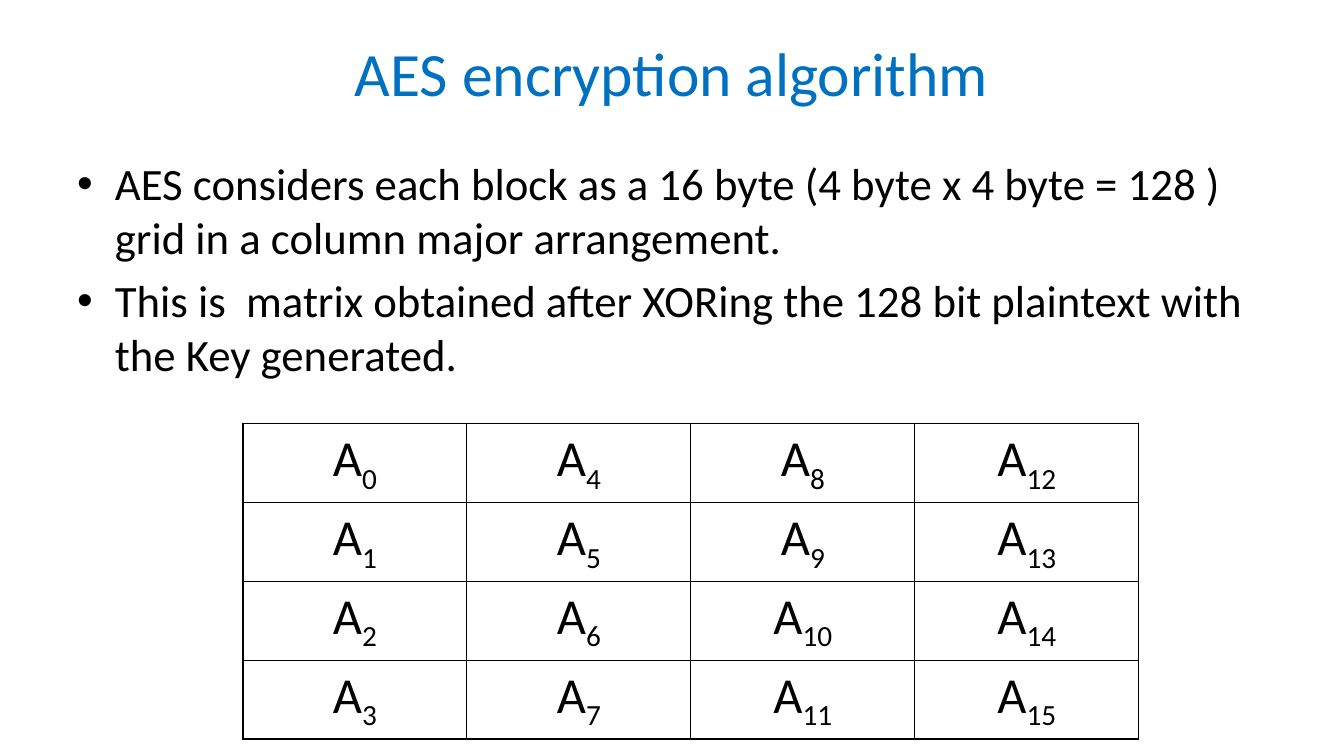
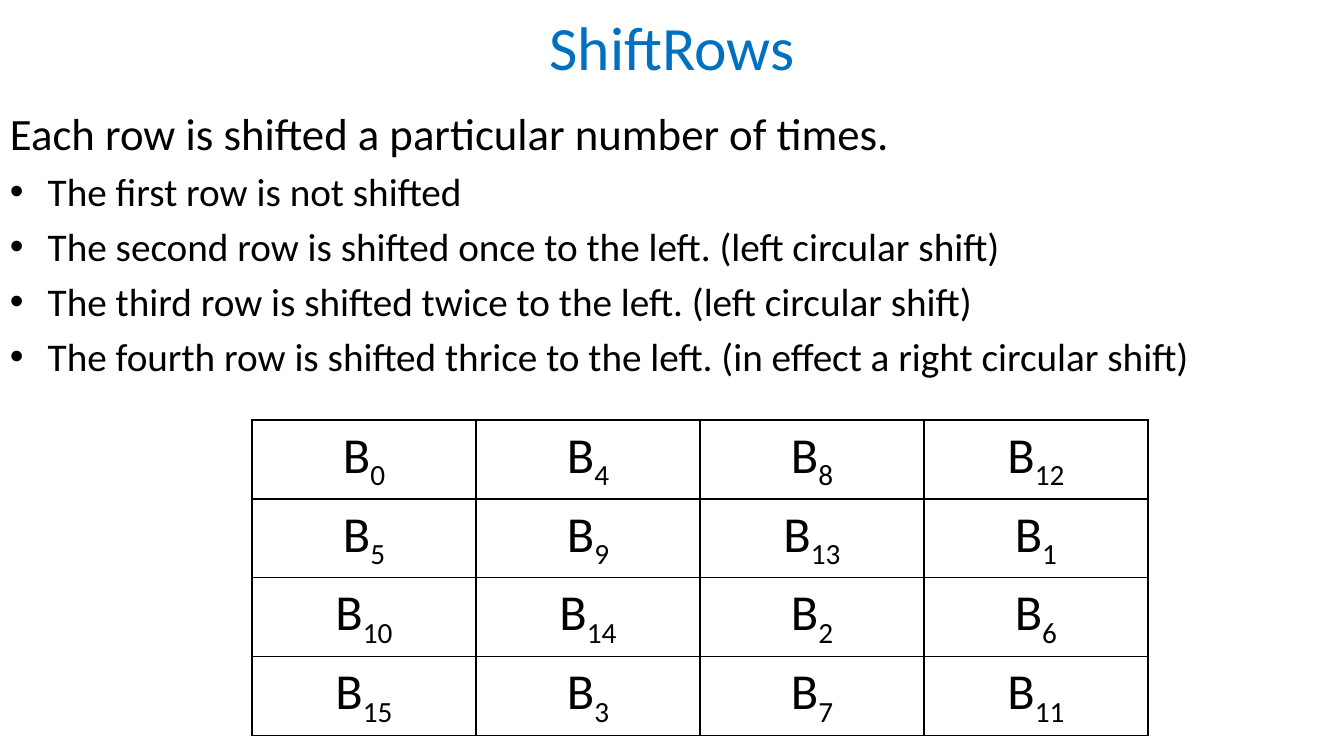
"""Build two slides on the AES state grid and the ShiftRows step."""
from lxml import etree
from pptx import Presentation
from pptx.dml.color import RGBColor
from pptx.enum.text import MSO_ANCHOR, PP_ALIGN
from pptx.oxml.ns import qn
from pptx.util import Pt

CENTER, LEFT = PP_ALIGN.CENTER, PP_ALIGN.LEFT
MIDDLE, TOP = MSO_ANCHOR.MIDDLE, MSO_ANCHOR.TOP
COLORS = {"title": "0070C0", "text": "000000", "border": "000000"}
FONT = "Calibri"
SLIDE_SIZE = (960, 540)
TITLE_SIZE, CELL_SIZE = 44, 36
GRID_COUNT, COLUMN_WIDTH, ROW_HEIGHT = 4, 160, 56
INDENT = 27

SLIDES = [
    {
        "title": "AES encryption algorithm",
        "title_box": (48, 6, 864, 90),
        "body_box": (48, 108, 864, 356),
        "body": [
            ("AES considers each block as a 16 byte (4 byte x 4 byte = 128 ) "
             "grid in a column major arrangement.", 32, True),
            ("This is  matrix obtained after XORing the 128 bit plaintext "
             "with the Key generated.", 32, True),
        ],
        "letter": "A", "row_shift": 0, "table_at": (173.5, 302.4),
    },
    {
        "title": "ShiftRows",
        "title_box": (48, -12, 864, 90),
        "body_box": (0, 72, 960, 468),
        "body": [
            ("Each row is shifted a particular number of times.", 32, False),
            ("The first row is not shifted", 28, True),
            ("The second row is shifted once to the left. (left circular shift)", 28, True),
            ("The third row is shifted twice to the left. (left circular shift)", 28, True),
            ("The fourth row is shifted thrice to the left. "
             "(in effect a right circular shift)", 28, True),
        ],
        "letter": "B", "row_shift": 1, "table_at": (180, 300),
    },
]


def add_run(paragraph, text, size, color):
    run = paragraph.add_run()
    run.text = text
    for name, value in {"name": FONT, "size": Pt(size)}.items():
        setattr(run.font, name, value)
    run.font.color.rgb = RGBColor.from_string(COLORS[color])
    return run


def set_bullet(paragraph, bulleted):
    properties = paragraph._p.get_or_add_pPr()
    properties.set("marL", str(Pt(INDENT)))
    properties.set("indent", str(Pt(-INDENT)))
    if bulleted:
        etree.SubElement(properties, qn("a:buFont"), typeface="Arial")
        etree.SubElement(properties, qn("a:buChar"), char="•")


def add_text_frame(slide, box, anchor):
    frame = slide.shapes.add_textbox(*map(Pt, box)).text_frame
    frame.word_wrap = True
    frame.vertical_anchor = anchor
    return frame


def add_title(slide, text, box):
    paragraph = add_text_frame(slide, box, MIDDLE).paragraphs[0]
    paragraph.alignment = CENTER
    add_run(paragraph, text, TITLE_SIZE, "title")


def add_body(slide, lines, box):
    frame = add_text_frame(slide, box, TOP)
    for index, (text, size, bulleted) in enumerate(lines):
        paragraph = frame.add_paragraph() if index else frame.paragraphs[0]
        paragraph.alignment = LEFT
        paragraph.space_before = Pt(size * 0.2)
        set_bullet(paragraph, bulleted)
        add_run(paragraph, text, size, "text")


def set_borders(cell):
    properties = cell._tc.get_or_add_tcPr()
    for side in ("lnL", "lnR", "lnT", "lnB"):
        line = etree.SubElement(properties, qn(f"a:{side}"), w=str(Pt(1)))
        fill = etree.SubElement(line, qn("a:solidFill"))
        etree.SubElement(fill, qn("a:srgbClr"), val=COLORS["border"])


def add_state_table(slide, letter, row_shift, position):
    size = (GRID_COUNT * COLUMN_WIDTH, GRID_COUNT * ROW_HEIGHT)
    table = slide.shapes.add_table(
        GRID_COUNT, GRID_COUNT, *map(Pt, position + size)).table
    table.first_row = table.horz_banding = False
    for row in range(GRID_COUNT):
        for column in range(GRID_COUNT):
            source_column = (column + row * row_shift) % GRID_COUNT
            cell = table.cell(row, column)
            set_borders(cell)
            cell.fill.background()
            paragraph = cell.text_frame.paragraphs[0]
            paragraph.alignment = CENTER
            add_run(paragraph, letter, CELL_SIZE, "text")
            number = str(row + GRID_COUNT * source_column)
            subscript = add_run(paragraph, number, CELL_SIZE, "text")
            subscript._r.get_or_add_rPr().set("baseline", "-25000")


def main():
    presentation = Presentation()
    presentation.slide_width, presentation.slide_height = map(Pt, SLIDE_SIZE)
    for content in SLIDES:
        slide = presentation.slides.add_slide(presentation.slide_layouts[6])
        add_title(slide, content["title"], content["title_box"])
        add_body(slide, content["body"], content["body_box"])
        add_state_table(slide, content["letter"], content["row_shift"],
                        content["table_at"])
    presentation.save("out.pptx")


if __name__ == "__main__":
    main()
